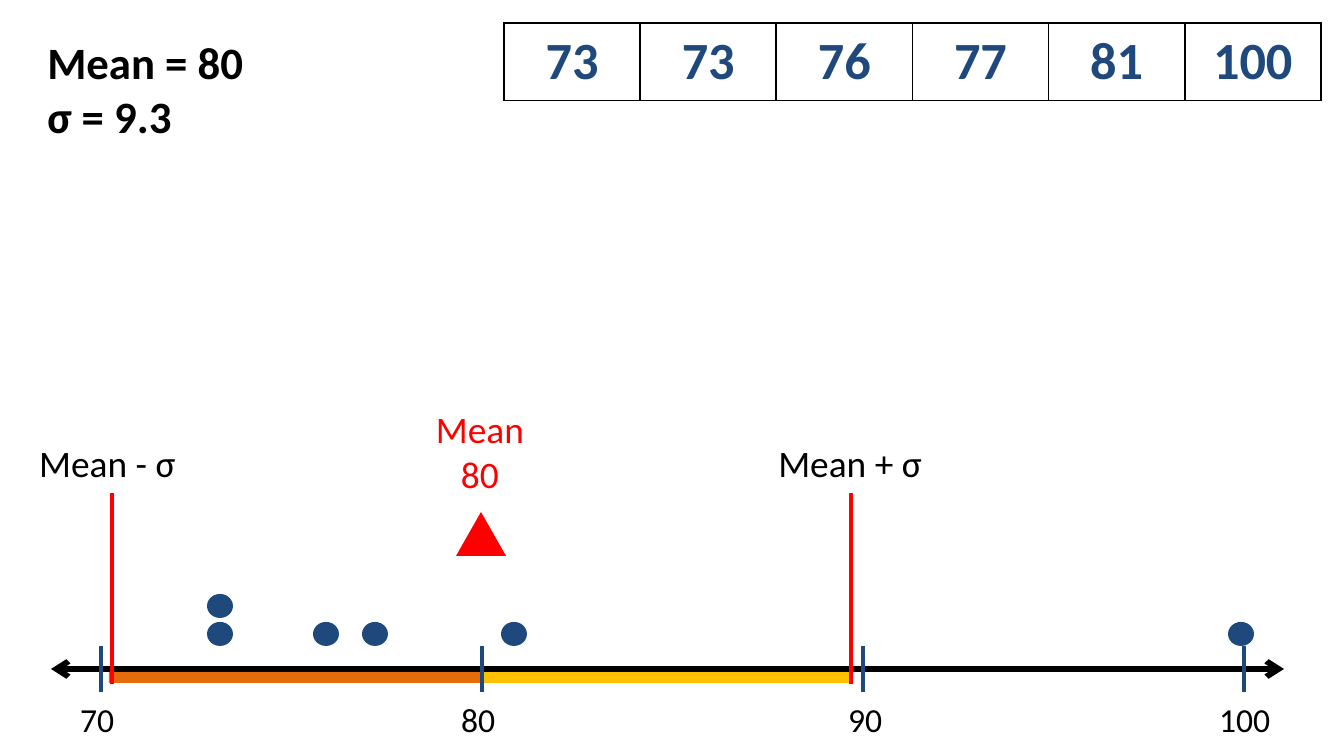
import pptx
import pptx.util
import pptx.dml.color
import pptx.enum.shapes
import pptx.enum.text
import pptx.oxml
import pptx.oxml.ns

PIXEL = 914400 / 134.4
RGBColor = pptx.dml.color.RGBColor
BLACK = RGBColor(0x00, 0x00, 0x00)
WHITE = RGBColor(0xFF, 0xFF, 0xFF)
NAVY = RGBColor(0x1F, 0x49, 0x7D)
RED = RGBColor(0xFF, 0x00, 0x00)
ORANGE = RGBColor(0xE4, 0x6C, 0x0A)
AMBER = RGBColor(0xFF, 0xC0, 0x00)
FONT = "Calibri"
SHAPE = pptx.enum.shapes.MSO_SHAPE
LEFT = pptx.enum.text.PP_ALIGN.LEFT
CENTER = pptx.enum.text.PP_ALIGN.CENTER


def px(*lengths):
    return [pptx.util.Emu(round(length * PIXEL)) for length in lengths]


def add_xml(parent, tag, **attributes):
    element = pptx.oxml.ns.qn(tag)
    child = parent.makeelement(element, attributes)
    parent.append(child)
    return child


def add_run(paragraph, text, size, color, bold=False):
    run = paragraph.add_run()
    run.text = text
    run.font.name = FONT
    run.font.size = pptx.util.Pt(size)
    run.font.bold = bold
    run.font.color.rgb = color


def add_text(slide, box, lines, size, color=BLACK, bold=False, align=LEFT):
    frame = slide.shapes.add_textbox(*px(*box)).text_frame
    frame.word_wrap = False
    frame.auto_size = pptx.enum.text.MSO_AUTO_SIZE.SHAPE_TO_FIT_TEXT
    for index, line in enumerate(lines):
        paragraph = frame.add_paragraph() if index else frame.paragraphs[0]
        paragraph.alignment = align
        add_run(paragraph, line, size, color, bold)


def add_filled(slide, kind, box, color):
    shape = slide.shapes.add_shape(kind, *px(*box))
    shape.shadow.inherit = False
    shape.fill.solid()
    shape.fill.fore_color.rgb = color
    shape.line.fill.background()


def add_line(slide, ends, color, width, arrows=False):
    line = slide.shapes.add_connector(
        pptx.enum.shapes.MSO_CONNECTOR.STRAIGHT, *px(*ends))
    line.line.color.rgb = color
    line.line.width = pptx.util.Pt(width)
    if arrows:
        outline = line.line._get_or_add_ln()
        for tag in ("a:headEnd", "a:tailEnd"):
            add_xml(outline, tag, type="arrow")
    add_xml(line._element.spPr, "a:effectLst")


def add_border(cell):
    properties = cell._tc.get_or_add_tcPr()
    for index, side in enumerate(("a:lnL", "a:lnR", "a:lnT", "a:lnB")):
        border = properties.makeelement(
            pptx.oxml.ns.qn(side), {"w": str(pptx.util.Pt(1))})
        properties.insert(index, border)
        fill = add_xml(border, "a:solidFill")
        add_xml(fill, "a:srgbClr", val=str(BLACK))


def add_values_table(slide, left, top, width, height, values):
    table = slide.shapes.add_table(
        1, len(values), *px(left, top, width, height)).table
    table.first_row = False
    table.horz_banding = False
    for column, value in enumerate(values):
        table.columns[column].width = px(width / len(values))[0]
        cell = table.cell(0, column)
        cell.fill.solid()
        cell.fill.fore_color.rgb = WHITE
        add_border(cell)
        paragraph = cell.text_frame.paragraphs[0]
        paragraph.alignment = CENTER
        add_run(paragraph, value, 28, NAVY, bold=True)


def add_number_line(slide, left, top):
    # Bars from the mean to one deviation on each side
    for x, width, color in ((83, 372, ORANGE), (455, 370, AMBER)):
        add_filled(slide, SHAPE.RECTANGLE,
                   (left + x, top + 272, width, 11), color)

    # Axis with ticks and labels
    add_line(slide, (left + 25, top + 269, left + 1258, top + 269),
             BLACK, 3, arrows=True)
    labels = (("70", 41, 62), ("80", 422, 62), ("90", 809, 62),
              ("100", 1180, 79))
    for index, (label, x, width) in enumerate(labels):
        tick = left + 75 + 381 * index
        add_line(slide, (tick, top + 246, tick, top + 292), NAVY, 2)
        add_text(slide, (left + x, top + 292, width, 54), [label], 18)

    # Data points
    for x, level in ((181, 0), (181, 1), (287, 0), (336, 0), (475, 0),
                     (1202, 0)):
        add_filled(slide, SHAPE.OVAL,
                   (left + x, top + 222 - 28 * level, 26, 24), NAVY)

    # Mean marker
    add_text(slide, (left + 396, top, 116, 104), ["Mean", "80"], 20, RED,
             align=CENTER)
    add_filled(slide, SHAPE.ISOSCELES_TRIANGLE,
               (left + 430, top + 112, 50, 44), RED)

    # Deviation limits
    for label, label_x, width, x in (("Mean - σ", 0, 165, 86),
                                     ("Mean + σ", 739, 172, 825)):
        add_line(slide, (left + x, top + 93, left + x, top + 284), RED, 2)
        add_text(slide, (left + label_x, top + 34, width, 59), [label], 20)


presentation = pptx.Presentation()
presentation.slide_width, presentation.slide_height = px(1344, 756)
slide = presentation.slides.add_slide(presentation.slide_layouts[6])

add_values_table(slide, 504, 23, 817, 77,
                 ("73", "73", "76", "77", "81", "100"))
add_text(slide, (34, 28, 224, 122), ["Mean = 80", "σ = 9.3"], 24, bold=True)
add_number_line(slide, 26, 400)

presentation.save("out.pptx")
